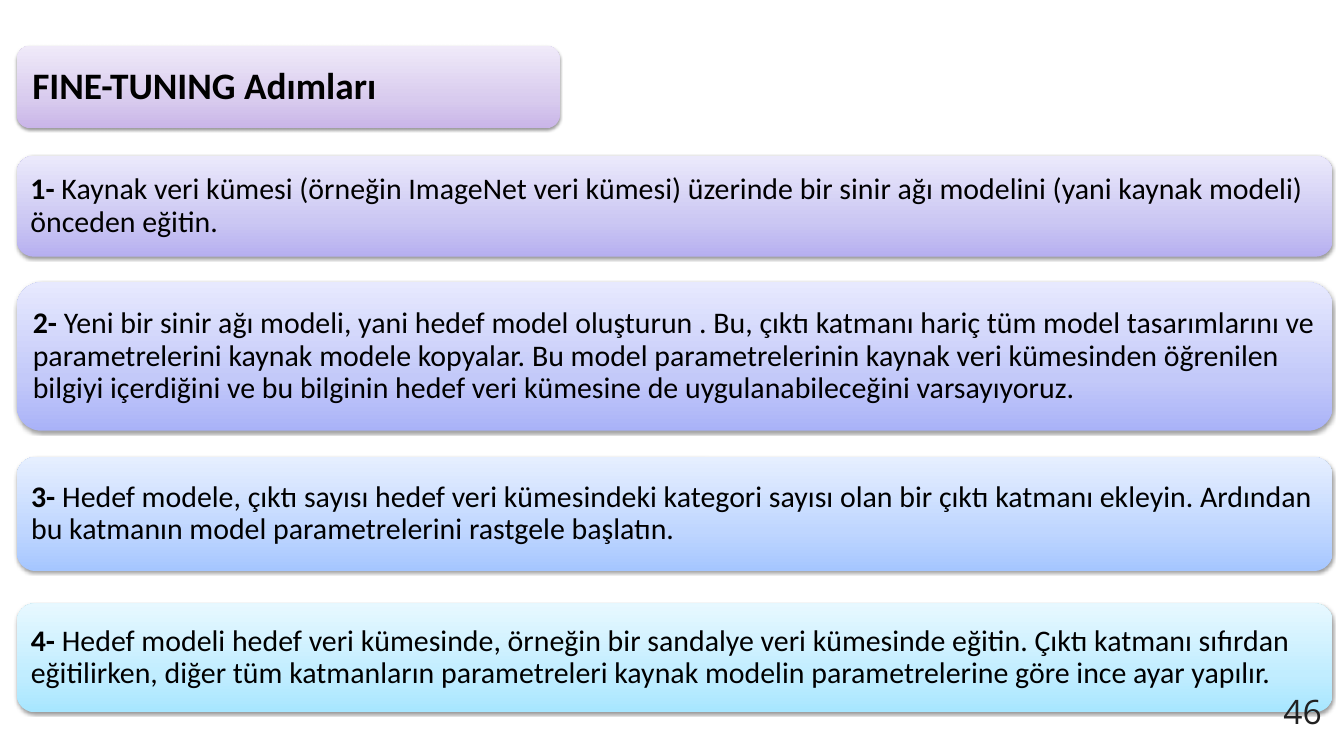
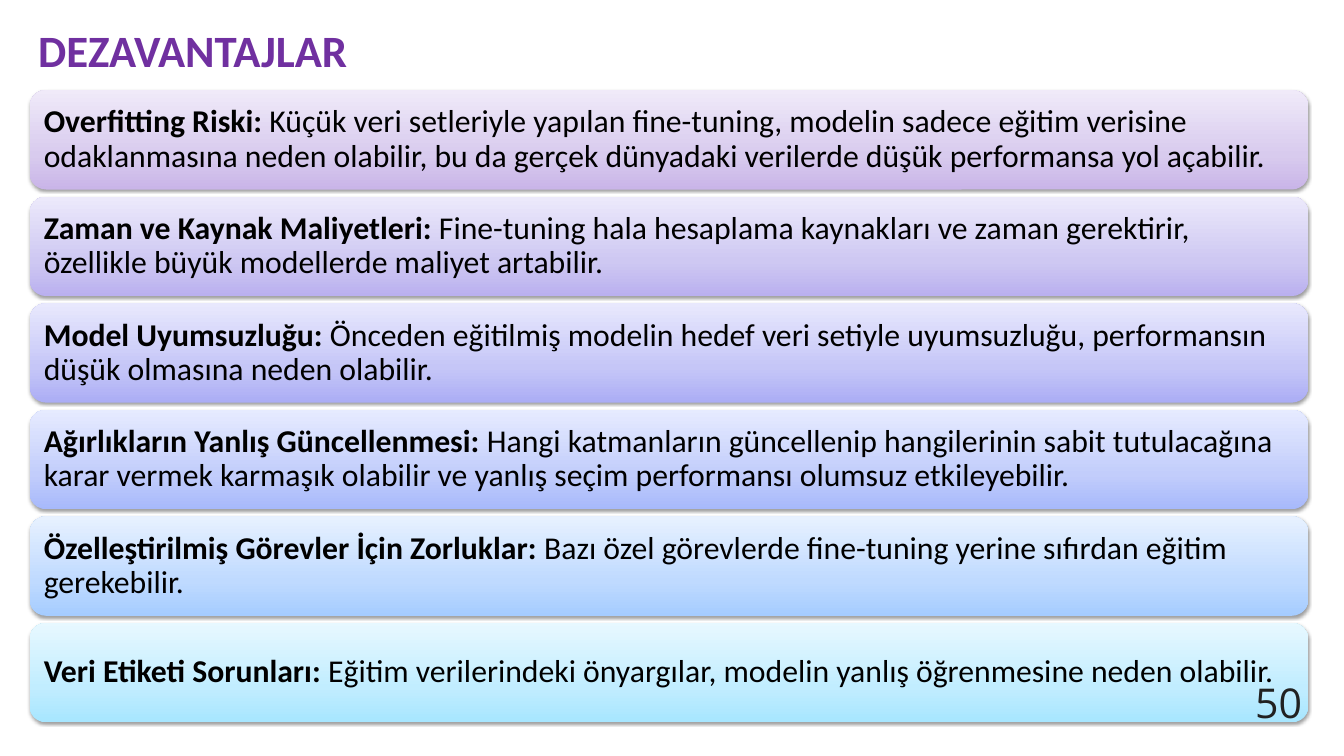
from lxml import etree
from pptx import Presentation
from pptx.dml.color import RGBColor
from pptx.enum.shapes import MSO_SHAPE
from pptx.enum.text import MSO_ANCHOR, MSO_AUTO_SIZE, PP_ALIGN
from pptx.oxml.ns import qn
from pptx.util import Inches, Pt

ROUNDED = MSO_SHAPE.ROUNDED_RECTANGLE
MIDDLE, LEFT = MSO_ANCHOR.MIDDLE, PP_ALIGN.LEFT
FIT_SHAPE = MSO_AUTO_SIZE.SHAPE_TO_FIT_TEXT

COLOURS = {"text": "000000", "title": "7030A0", "number": "212121", "shadow": "000000"}
# Band gradients, from the bottom edge to the top edge
GRADIENTS = {
    "lilac": ("C9B5E8", "D8CBEE", "F0EAF9"),
    "lavender": ("BAB0EF", "CEC8F2", "ECE9FB"),
    "violet": ("B6AFF0", "CBC7F3", "EBE9FB"),
    "iris": ("ABADF5", "C5C6F7", "E8E8FD"),
    "periwinkle": ("A9B2F8", "C3C9F9", "E7E9FE"),
    "cornflower": ("A7B9FB", "C2CDFB", "E6EBFF"),
    "blue": ("A5C6FF", "BFD6FF", "E6EFFF"),
    "sky": ("A5CCFF", "BFDAFF", "E7F1FF"),
    "cyan": ("A7E6FF", "C1EDFF", "E7F8FF"),
}
STOPS = (0, 35, 100)
BODY_FONT, NUMBER_FONT = "Calibri", "Open Sans"

# Top, height, gradient, bold lead, text
STEPS = [
    (2.32, 1.5, "violet", "1-",
     " Kaynak veri kümesi (örneğin ImageNet veri kümesi) üzerinde bir sinir ağı modelini "
     "(yani kaynak modeli) önceden eğitin."),
    (4.2, 2.21, "periwinkle", "2-",
     " Yeni bir sinir ağı modeli, yani hedef model oluşturun . Bu, çıktı katmanı hariç tüm "
     "model tasarımlarını ve parametrelerini kaynak modele kopyalar. Bu model parametrelerinin "
     "kaynak veri kümesinden öğrenilen bilgiyi içerdiğini ve bu bilginin hedef veri kümesine de "
     "uygulanabileceğini varsayıyoruz."),
    (6.8, 1.7, "blue", "3- ",
     "Hedef modele, çıktı sayısı hedef veri kümesindeki kategori sayısı olan bir çıktı katmanı "
     "ekleyin. Ardından bu katmanın model parametrelerini rastgele başlatın."),
    (8.98, 1.62, "cyan", "4- ",
     "Hedef modeli hedef veri kümesinde, örneğin bir sandalye veri kümesinde eğitin. Çıktı "
     "katmanı sıfırdan eğitilirken, diğer tüm katmanların parametreleri kaynak modelin "
     "parametrelerine göre ince ayar yapılır."),
]

# Gradient, bold lead, text
DRAWBACKS = [
    ("lilac", "Overfitting Riski: ",
     "Küçük veri setleriyle yapılan fine-tuning, modelin sadece eğitim verisine odaklanmasına "
     "neden olabilir, bu da gerçek dünyadaki verilerde düşük performansa yol açabilir."),
    ("lavender", "Zaman ve Kaynak Maliyetleri: ",
     "Fine-tuning hala hesaplama kaynakları ve zaman gerektirir, özellikle büyük modellerde "
     "maliyet artabilir."),
    ("iris", "Model Uyumsuzluğu: ",
     "Önceden eğitilmiş modelin hedef veri setiyle uyumsuzluğu, performansın düşük olmasına "
     "neden olabilir."),
    ("cornflower", "Ağırlıkların Yanlış Güncellenmesi: ",
     "Hangi katmanların güncellenip hangilerinin sabit tutulacağına karar vermek karmaşık "
     "olabilir ve yanlış seçim performansı olumsuz etkileyebilir."),
    ("sky", "Özelleştirilmiş Görevler İçin Zorluklar: ",
     "Bazı özel görevlerde fine-tuning yerine sıfırdan eğitim gerekebilir."),
    ("cyan", "Veri Etiketi Sorunları: ",
     "Eğitim verilerindeki önyargılar, modelin yanlış öğrenmesine neden olabilir."),
]


def add_colour(parent, colour, **attributes):
    """Append a colour element; each keyword becomes a child such as alpha."""
    element = etree.SubElement(parent, qn("a:srgbClr"), val=colour)
    for name, value in attributes.items():
        etree.SubElement(element, qn(f"a:{name}"), val=str(value))


def set_gradient(shape, colours):
    shape.fill.gradient()
    shape.fill.gradient_angle = 90
    stop_list = shape.element.spPr.find(".//" + qn("a:gsLst"))
    for stop in list(stop_list):
        stop_list.remove(stop)
    for position, colour in zip(STOPS, colours):
        stop = etree.SubElement(stop_list, qn("a:gs"), pos=str(position * 1000))
        add_colour(stop, colour)


def set_shadow(shape):
    shape.shadow.inherit = False
    effects = shape.element.spPr.find(qn("a:effectLst"))
    shadow = etree.SubElement(effects, qn("a:outerShdw"), blurRad=str(Pt(3.1)),
                              dist=str(Pt(1.6)), dir="5400000", rotWithShape="0")
    add_colour(shadow, COLOURS["shadow"], alpha=38000)


def set_font(font, name, size, colour):
    font.name = name
    font.size = Pt(size)
    font.color.rgb = RGBColor.from_string(COLOURS[colour])


def add_band(page, at, gradient, size, margin, lead, text=""):
    """Add a rounded gradient band with a bold lead and plain text after it."""
    band = page.shapes.add_shape(ROUNDED, *map(Inches, at))
    set_gradient(band, GRADIENTS[gradient])
    band.line.fill.background()
    set_shadow(band)
    frame = band.text_frame
    frame.word_wrap = True
    frame.vertical_anchor = MIDDLE
    frame.margin_left = frame.margin_right = Inches(margin)
    frame.margin_top = frame.margin_bottom = Inches(margin)
    para = frame.paragraphs[0]
    para.alignment = LEFT
    para.line_spacing = 0.9
    set_font(para.font, BODY_FONT, size, "text")
    for words, bold in ((lead, True), (text, False)):
        if words:
            span = para.add_run()
            span.text = words
            span.font.bold = bold


def add_label(page, at, text, font, size, colour, wrap=True):
    box = page.shapes.add_textbox(*map(Inches, at))
    box.text_frame.word_wrap = wrap
    box.text_frame.auto_size = FIT_SHAPE
    para = box.text_frame.paragraphs[0]
    para.text = text
    set_font(para.font, font, size, colour)
    return para


def add_page_number(page, at, number, size):
    para = add_label(page, at, number, NUMBER_FONT, size, "number")
    para.line_spacing = Pt(44.8)


def build_steps(page):
    add_band(page, (0.25, 0.68, 8.08, 1.23), "lilac", 40, 0.17, "FINE-TUNING Adımları")
    for top, height, gradient, lead, text in STEPS:
        add_band(page, (0.25, top, 19.58, height), gradient, 32, 0.13, lead, text)
    add_page_number(page, (19, 10.21, 1.33, 0.73), "46", 36)


def build_drawbacks(page):
    first_top, pitch = 1.34, 1.586
    for index, (gradient, lead, text) in enumerate(DRAWBACKS):
        at = (0.44, first_top + index * pitch, 19.03, 1.48)
        add_band(page, at, gradient, 34, 0.14, lead, text)
    add_page_number(page, (18.58, 10.14, 1.83, 0.75), "50", 44)
    title = add_label(page, (0.47, 0.29, 4.91, 0.91), "DEZAVANTAJLAR",
                      BODY_FONT, 48, "title", wrap=False)
    title.font.bold = True


def main():
    deck = Presentation()
    deck.slide_width, deck.slide_height = Inches(20), Inches(11.25)
    blank = deck.slide_layouts[6]
    for build in (build_steps, build_drawbacks):
        build(deck.slides.add_slide(blank))
    deck.save("out.pptx")


if __name__ == "__main__":
    main()
